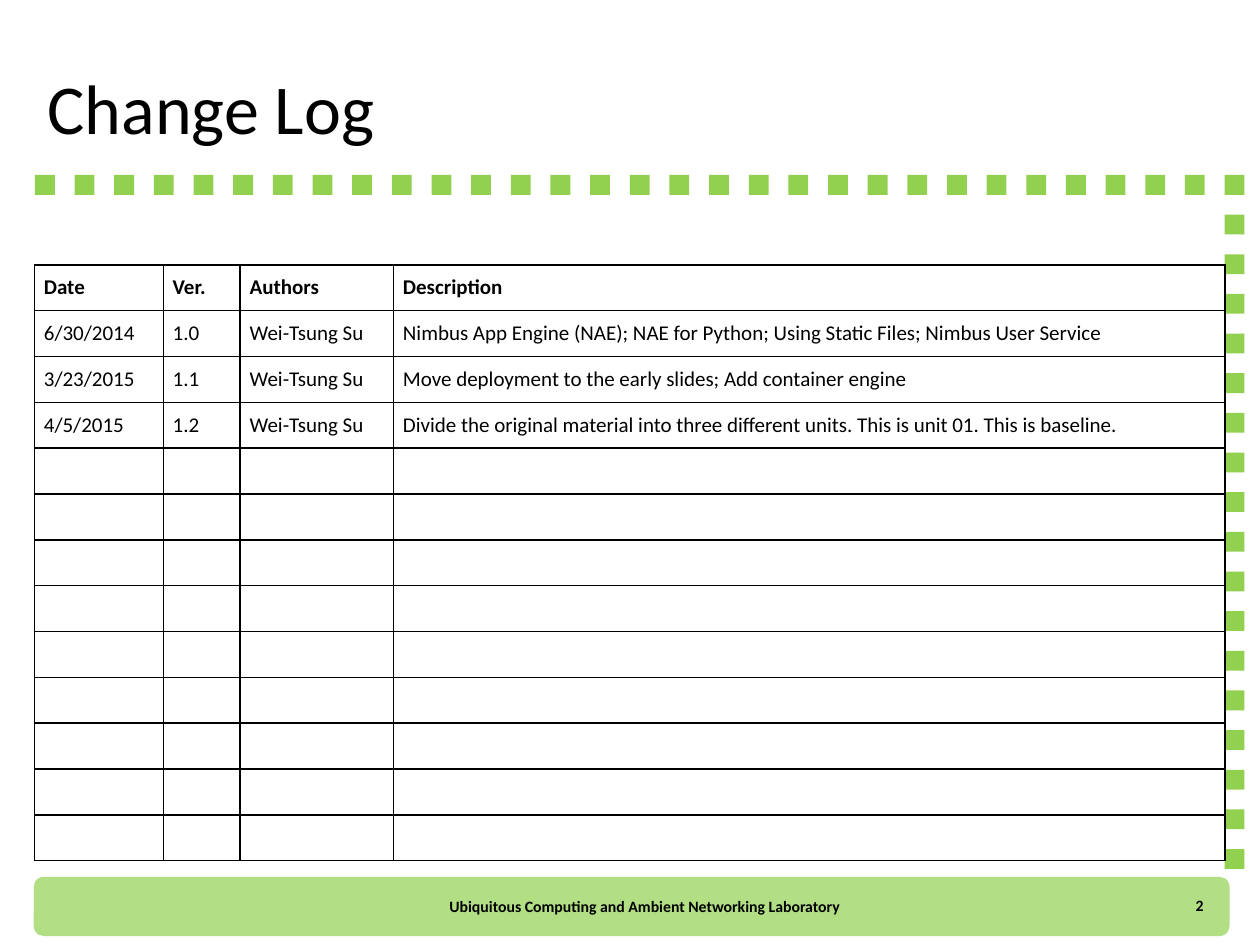
"""Build the change log slide with its dotted frame, table and footer."""
from dataclasses import dataclass
from typing import Any, NamedTuple

from lxml.etree import SubElement as Sub
from pptx import Presentation
from pptx.dml.color import RGBColor as Rgb
from pptx.enum.shapes import MSO_SHAPE as Kind
from pptx.enum.text import MSO_ANCHOR as Anchor, PP_ALIGN as Align
from pptx.oxml import parse_xml
from pptx.oxml.ns import nsdecls, qn
from pptx.util import Pt


@dataclass(frozen=True)
class Theme:
    green: Rgb = Rgb(0x92, 0xD0, 0x50)
    black: Rgb = Rgb(0, 0, 0)
    face: str = "Calibri"
    head: float = 40
    body: float = 12
    foot: float = 9


class Box(NamedTuple):
    left: float
    top: float
    width: float
    height: float


class Note(NamedTuple):
    text: str
    box: Box
    align: Any


class Entry(NamedTuple):
    date: str = ""
    ver: str = ""
    author: str = ""
    about: str = ""


THEME = Theme()
SIDE, STEP, LEFT, TOP = 11.33, 22.66, 20, 100
ACROSS, DOWN = 31, 17
GRID = Box(19.7, 151.3, 680.4, 340.6)
WIDTHS = (73.6, 44, 87.6, 475.2)
BAR = Box(19.3, 501.1, 683.3, 33.8)
LOG = [
    Entry("Date", "Ver.", "Authors", "Description"),
    Entry("6/30/2014", "1.0", "Wei-Tsung Su",
          "Nimbus App Engine (NAE); NAE for Python; Using Static Files; Nimbus User Service"),
    Entry("3/23/2015", "1.1", "Wei-Tsung Su",
          "Move deployment to the early slides; Add container engine"),
    Entry("4/5/2015", "1.2", "Wei-Tsung Su",
          "Divide the original material into three different units. "
          "This is unit 01. This is baseline."),
] + [Entry()] * 9
NOTES = [
    Note("Ubiquitous Computing and Ambient Networking Laboratory",
         Box(115.9, 503.3, 504.7, 28.8), Align.CENTER),
    Note("2", Box(632.2, 503.3, 62.6, 28.1), Align.RIGHT),
]


def apply(item: Any, vals: dict[str, Any]) -> None:
    for key, val in vals.items():
        setattr(item, key, val)


def points(box: Box) -> list[Any]:
    return [Pt(val) for val in box]


def write(frame: Any, text: str, size: float, bold: bool = False,
          align: Any = Align.LEFT) -> None:
    para = frame.paragraphs[0]
    para.alignment = align
    if text:
        font = para.add_run()
        font.text = text
        apply(font.font, {"name": THEME.face, "size": Pt(size), "bold": bold})
        font.font.color.rgb = THEME.black
    else:
        Sub(para._p, qn("a:endParaRPr"), sz=str(int(size * 100)))


def block(slide: Any, kind: Any, box: Box) -> Any:
    shape = slide.shapes.add_shape(kind, *points(box))
    shape.shadow.inherit = False
    shape.fill.solid()
    shape.fill.fore_color.rgb = THEME.green
    shape.line.fill.background()
    return shape


def frame(slide: Any) -> None:
    bar = block(slide, Kind.ROUNDED_RECTANGLE, BAR)
    tint = bar._element.spPr.find(f"{qn('a:solidFill')}/{qn('a:srgbClr')}")
    Sub(tint, qn("a:alpha"), val="70000")
    spots = [(col, 0) for col in range(ACROSS)]
    spots += [(ACROSS - 1, row) for row in range(1, DOWN + 1)]
    for col, row in spots:
        block(slide, Kind.RECTANGLE,
              Box(LEFT + col * STEP, TOP + row * STEP, SIDE, SIDE))


def edge(cell: Any) -> None:
    props = cell._tc.get_or_add_tcPr()
    for spot, side in enumerate("LRTB"):
        props.insert(spot, parse_xml(
            f'<a:ln{side} {nsdecls("a")} w="12700"><a:solidFill>'
            f'<a:srgbClr val="{THEME.black}"/></a:solidFill></a:ln{side}>'))


def table(slide: Any) -> None:
    grid = slide.shapes.add_table(len(LOG), len(WIDTHS), *points(GRID)).table
    apply(grid, {"first_row": False, "horz_banding": False})
    for col, width in zip(grid.columns, WIDTHS):
        col.width = Pt(width)
    for num, (row, entry) in enumerate(zip(grid.rows, LOG)):
        row.height = Pt(GRID.height / len(LOG))
        for cell, text in zip(row.cells, entry):
            apply(cell, {"vertical_anchor": Anchor.MIDDLE,
                         "margin_left": Pt(5.4), "margin_right": Pt(5.4),
                         "margin_top": Pt(2.7), "margin_bottom": Pt(2.7)})
            cell.fill.background()
            edge(cell)
            write(cell.text_frame, text, THEME.body, num == 0)


def label(slide: Any, note: Note) -> None:
    text = slide.shapes.add_textbox(*points(note.box)).text_frame
    apply(text, {"word_wrap": True, "vertical_anchor": Anchor.MIDDLE})
    write(text, note.text, THEME.foot, True, note.align)


def main() -> None:
    deck = Presentation()
    apply(deck, {"slide_width": Pt(720), "slide_height": Pt(540)})
    slide = deck.slides.add_slide(deck.slide_layouts[5])
    frame(slide)
    title = slide.shapes.title
    apply(title, dict(zip(Box._fields, points(Box(20, 21.6, 566.6, 78.5)))))
    title.text_frame.vertical_anchor = Anchor.MIDDLE
    write(title.text_frame, "Change Log", THEME.head)
    table(slide)
    for note in NOTES:
        label(slide, note)
    deck.save("out.pptx")


main()
